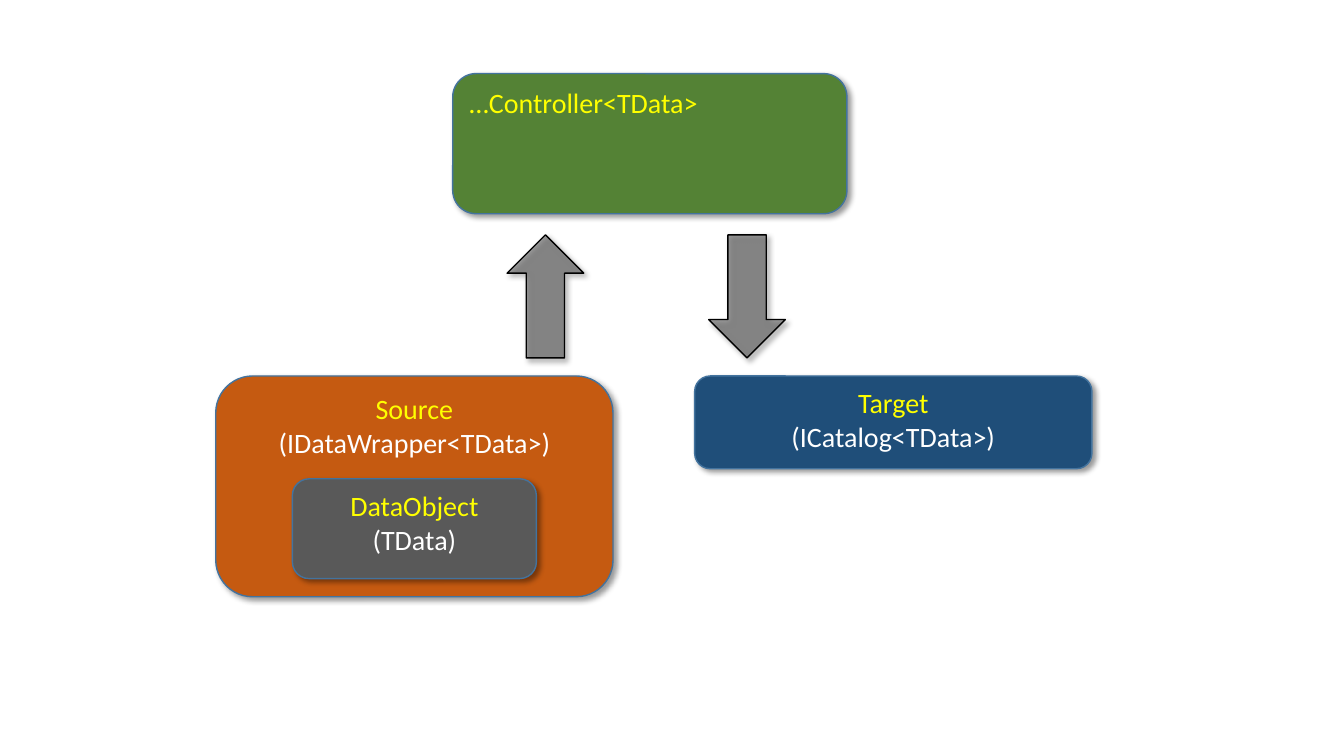
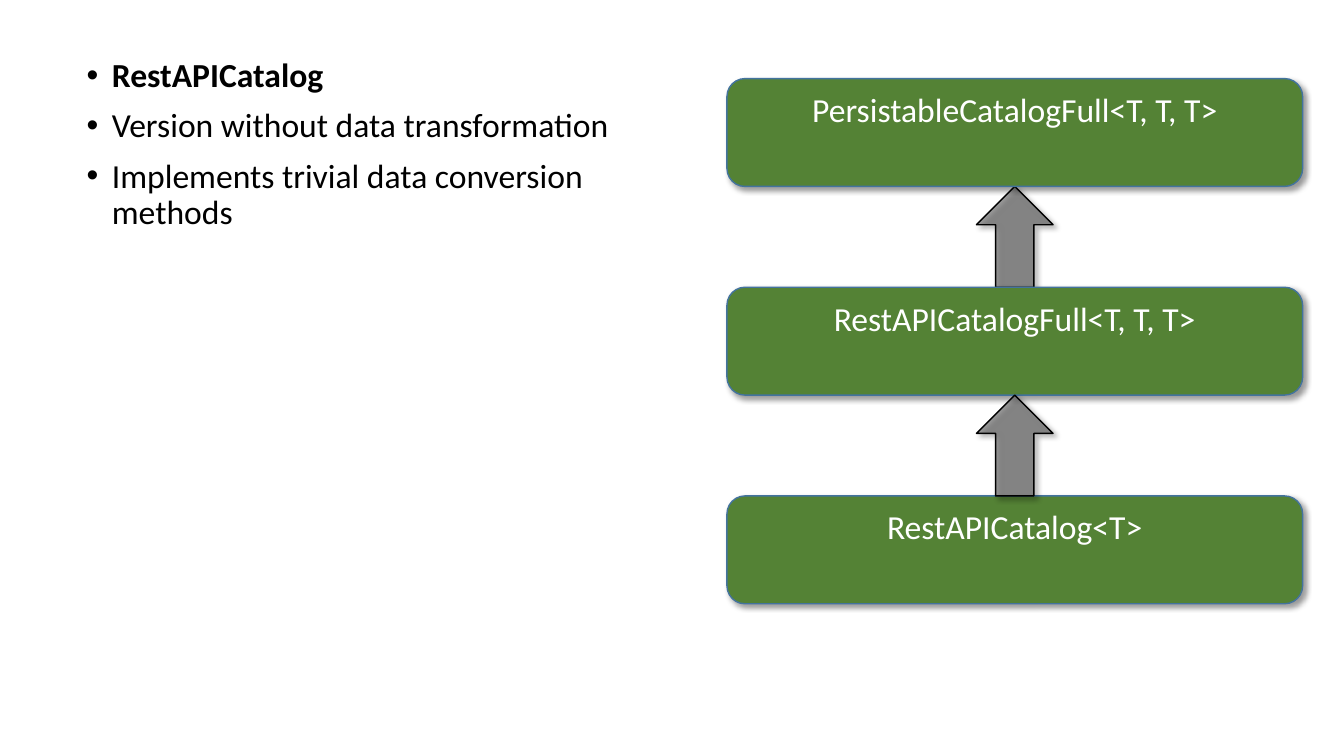
import pptx
import pptx.util
import pptx.dml.color
import pptx.enum.shapes
import pptx.enum.text
import pptx.oxml.ns
from lxml import etree

Inches, Pt = pptx.util.Inches, pptx.util.Pt
RGB = pptx.dml.color.RGBColor.from_string
SHAPE = pptx.enum.shapes.MSO_SHAPE
ALIGN = pptx.enum.text.PP_ALIGN
qn = pptx.oxml.ns.qn

FONT = "Calibri"
COLORS = {
    "green": "548235", "orange": "C55A11", "blue": "1F4E79", "gray": "595959",
    "border": "43739E", "yellow": "FFFF00", "white": "FFFFFF", "black": "000000",
}


def add_block(s, kind, box, fill, line):
    """Add a filled, outlined shape with the soft shadow all blocks share."""
    sp = s.shapes.add_shape(kind, *[Inches(v) for v in box])
    sp.fill.solid()
    sp.fill.fore_color.rgb = RGB(COLORS[fill])
    sp.line.color.rgb = RGB(COLORS[line])
    sp.line.width = Pt(1)
    sp.shadow.inherit = False
    effects = sp.element.spPr.find(qn("a:effectLst"))
    shadow = etree.SubElement(effects, qn("a:outerShdw"), blurRad=str(Pt(4)),
                              dist=str(Pt(3)), dir="2700000", algn="tl", rotWithShape="0")
    color = etree.SubElement(shadow, qn("a:srgbClr"), val=COLORS["black"])
    etree.SubElement(color, qn("a:alpha"), val="40000")
    if kind != SHAPE.ROUNDED_RECTANGLE:
        color = sp.element.spPr.find(qn("a:solidFill")).find(qn("a:srgbClr"))
        etree.SubElement(color, qn("a:alpha"), val="60000")
    return sp


def write_lines(sp, lines, size, align):
    """Write (text, color, bold) lines from the top of a shape, one paragraph each."""
    tf = sp.text_frame
    tf.word_wrap = True
    tf.vertical_anchor = pptx.enum.text.MSO_ANCHOR.TOP
    for i, (text, color, bold) in enumerate(lines):
        p = tf.paragraphs[0] if i == 0 else tf.add_paragraph()
        p.alignment = align
        r = p.add_run()
        r.text = text
        r.font.name = FONT
        r.font.size = Pt(size)
        r.font.bold = bold
        r.font.color.rgb = RGB(COLORS[color])


prs = pptx.Presentation()
prs.slide_width, prs.slide_height = Inches(13.33), Inches(7.5)
ARROW_W = 0.76

# Slide 1: data flow from source to target
s = prs.slides.add_slide(prs.slide_layouts[6])
flow_blocks = [
    ((4.49, 0.73, 3.91, 1.39), "green", ALIGN.LEFT, "…Controller<TData>", None),
    ((2.14, 3.73, 3.94, 2.19), "orange", ALIGN.CENTER, "Source", "(IDataWrapper<TData>)"),
    ((6.89, 3.73, 3.94, 0.92), "blue", ALIGN.CENTER, "Target", "(ICatalog<TData>)"),
    ((2.9, 4.75, 2.42, 0.99), "gray", ALIGN.CENTER, "DataObject", "(TData)"),
]
for box, fill, align, name, type_name in flow_blocks:
    sp = add_block(s, SHAPE.ROUNDED_RECTANGLE, box, fill, "border")
    lines = [(name, "yellow", False)]
    if type_name:
        lines.append((type_name, "white", False))
    write_lines(sp, lines, 20, align)
for kind, left in ((SHAPE.UP_ARROW, 5.03), (SHAPE.DOWN_ARROW, 7.03)):
    add_block(s, kind, (left, 2.33, ARROW_W, 1.22), "gray", "black")

# Slide 2: class hierarchy with notes on the left
s = prs.slides.add_slide(prs.slide_layouts[1])
title = s.shapes.title.element
title.getparent().remove(title)

body = s.placeholders[1]
body.left, body.top, body.width, body.height = [Inches(v) for v in (0.76, 0.53, 5.96, 6.17)]
write_lines(body, [
    ("RestAPICatalog", "black", True),
    ("Version without data transformation", "black", False),
    ("Implements trivial data conversion methods", "black", False),
], 24, ALIGN.LEFT)
body.text_frame.auto_size = pptx.enum.text.MSO_AUTO_SIZE.NONE
for i, p in enumerate(body.text_frame.paragraphs):
    p.line_spacing = 0.9
    p.space_before = Pt(10 if i else 0)
    pPr = p._p.get_or_add_pPr()
    pPr.set("marL", str(Inches(0.25)))
    pPr.set("indent", str(-Inches(0.25)))
    etree.SubElement(pPr, qn("a:buFont"), typeface="Arial")
    etree.SubElement(pPr, qn("a:buChar"), char="•")

CLASS_X, CLASS_Y, CLASS_W, CLASS_H = 7.21, 0.78, 5.71, 1.07
ARROW_H = 1
class_tops = [CLASS_Y + i * (CLASS_H + ARROW_H) for i in range(3)]
arrow_boxes = [(CLASS_X + (CLASS_W - ARROW_W) / 2, top + CLASS_H, ARROW_W, ARROW_H)
               for top in class_tops[:2]]

add_block(s, SHAPE.UP_ARROW, arrow_boxes[0], "gray", "black")
class_names = ["PersistableCatalogFull<T, T, T>", "RestAPICatalogFull<T, T, T>",
               "RestAPICatalog<T>"]
for top, name in zip(class_tops, class_names):
    sp = add_block(s, SHAPE.ROUNDED_RECTANGLE, (CLASS_X, top, CLASS_W, CLASS_H),
                   "green", "border")
    write_lines(sp, [(name, "white", False)], 24, ALIGN.CENTER)
add_block(s, SHAPE.UP_ARROW, arrow_boxes[1], "gray", "black")

prs.save("out.pptx")
